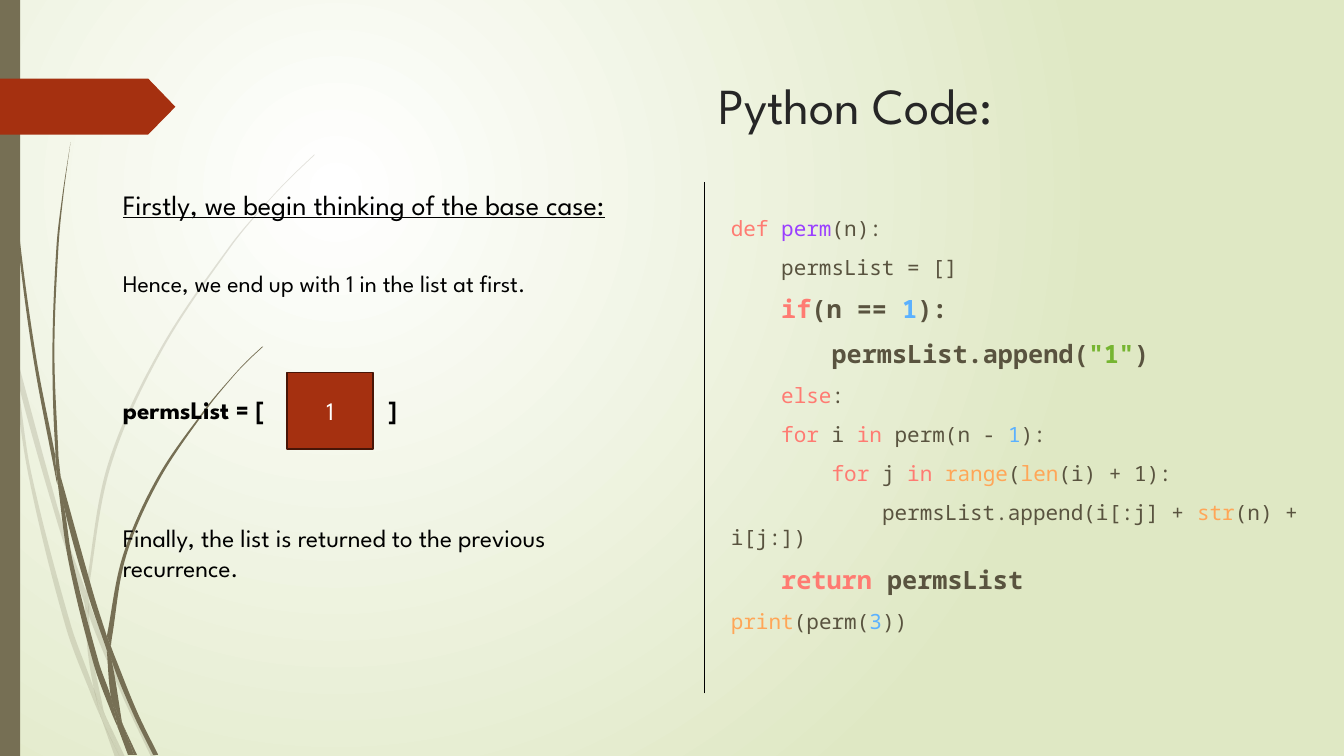
import dataclasses
import math
import typing

import lxml.etree
import pptx
import pptx.dml.color
import pptx.enum.shapes
import pptx.enum.text
import pptx.oxml.ns
import pptx.util

CELL = pptx.util.Inches(0.1)
COLS, ROWS = 133.33, 75
SHAPES = pptx.enum.shapes.MSO_SHAPE
ALIGN = pptx.enum.text.PP_ALIGN
ANCHOR = pptx.enum.text.MSO_ANCHOR
FIT = pptx.enum.text.MSO_AUTO_SIZE
SANS, MONO = "League Spartan", "Noto Sans Mono"
OLIVE, RUST, BLACK, WHITE = "766F54", "A53010", "000000", "FFFFFF"
CODE = {"plain": "59533F", "key": "FF7B72", "def": "9A3FFF",
        "num": "5BB1FF", "str": "76B531", "call": "FFA657"}

Point = tuple[float, float]
Token = tuple[str, str]


@dataclasses.dataclass
class Box:
    col: float
    row: float
    cols: float
    rows: float

    def emu(self) -> list[int]:
        return [cells(v) for v in (self.col, self.row, self.cols, self.rows)]


@dataclasses.dataclass
class Line:
    tokens: list[Token]
    font: dict[str, typing.Any]
    para: dict[str, typing.Any] = dataclasses.field(default_factory=dict)


@dataclasses.dataclass
class Blade:
    down: list[Point]
    up: list[Point]


@dataclasses.dataclass
class Note:
    box: Box
    texts: list[str]
    size: float
    style: dict[str, typing.Any] = dataclasses.field(default_factory=dict)


def cells(n: float) -> int:
    return round(n * CELL)


def rgb(color: str) -> pptx.dml.color.RGBColor:
    return pptx.dml.color.RGBColor.from_string(color)


def apply(obj: typing.Any, values: dict[str, typing.Any]) -> None:
    for name, value in values.items():
        setattr(obj, name, value)


def font(size: float, name: str = SANS, **more: typing.Any) -> dict[str, typing.Any]:
    return {"size": pptx.util.Pt(size), "name": name, **more}


def child(parent: typing.Any, tag: str, **attrs: str) -> typing.Any:
    return lxml.etree.SubElement(parent, pptx.oxml.ns.qn(tag), **attrs)


def write(tf: typing.Any, lines: list[Line]) -> None:
    for i, line in enumerate(lines):
        p = tf.add_paragraph() if i else tf.paragraphs[0]
        apply(p, line.para)
        for color, text in line.tokens:
            r = p.add_run()
            r.text = text
            apply(r.font, line.font)
            r.font.color.rgb = rgb(color)


def finish(sp: typing.Any, color: str, edge: str = "", opacity: int = 100) -> None:
    sp.shadow.inherit = False
    sp.fill.solid()
    sp.fill.fore_color.rgb = rgb(color)
    if opacity < 100:
        clr = sp.element.xpath("./p:spPr/a:solidFill/a:srgbClr")[0]
        child(clr, "a:alpha", val=str(opacity * 1000))
    if edge:
        sp.line.color.rgb = rgb(edge)
        sp.line.width = pptx.util.Pt(1.25)
    else:
        sp.line.fill.background()


def outline(shapes: typing.Any, points: list[Point]) -> typing.Any:
    corners = [(cells(x), cells(y)) for x, y in points]
    fb = shapes.build_freeform(*corners[0])
    fb.add_line_segments(corners[1:], close=True)
    return fb.convert_to_shape()


def handle(a: Point, b: Point, c: Point) -> Point:
    reach = math.dist(b, c) / (math.dist(a, b) + math.dist(b, c)) / 3
    return tuple(q + (s - p) * reach for p, q, s in zip(a, b, c))


def bend(edge: list[Point]) -> list[tuple[Point, ...]]:
    padded = [edge[0], *edge, edge[-1]]
    return [(handle(a, b, c), handle(d, c, b), c)
            for a, b, c, d in zip(padded, padded[1:], padded[2:], padded[3:])]


def draw_blade(shapes: typing.Any, blade: Blade, opacity: int) -> None:
    sp = outline(shapes, blade.down + blade.up)
    curves = [*bend(blade.down), None, *bend(blade.up)]
    for segment, curve in zip(sp.element.xpath(".//a:lnTo"), curves):
        if curve:
            cubic = lxml.etree.Element(pptx.oxml.ns.qn("a:cubicBezTo"))
            for x, y in curve:
                child(cubic, "a:pt", x=str(cells(x) - sp.left), y=str(cells(y) - sp.top))
            segment.getparent().replace(segment, cubic)
    finish(sp, OLIVE, opacity=opacity)


def draw_note(shapes: typing.Any, note: Note) -> None:
    tf = shapes.add_textbox(*note.box.emu()).text_frame
    apply(tf, {"word_wrap": False, "auto_size": FIT.SHAPE_TO_FIT_TEXT})
    write(tf, [Line([(BLACK, t)], font(note.size, **note.style)) for t in note.texts])


def code(indent: int, *tokens: Token, strong: bool = False) -> Line:
    shown = [("plain", "\t" * indent)] * bool(indent) + list(tokens)
    return Line([(CODE[kind], text) for kind, text in shown],
                font(18 if strong else 15, MONO, bold=strong),
                {"space_before": pptx.util.Pt(10), "alignment": ALIGN.LEFT})


PALE = [
    Blade([(0, 29.9), (1, 34.4), (1.1, 35)], [(.9, 32.2), (0, 28.2)]),
    Blade([(1.4, 34.5), (1.7, 37.6), (5.8, 52.2), (8.4, 59.9)], [(8.5, 58.6), (6.2, 52), (1.4, 34.5)]),
    Blade([(8.8, 59.6), (8.8, 61), (12.3, 69.4), (15, 75.1)], [(15.5, 75.1), (12.7, 69.2), (9.2, 60.7)]),
    Blade([(10.5, 71.1), (11.9, 75.1)], [(12.4, 75.1), (10.5, 71.1)]),
    Blade([(1.1, 35), (2.8, 47), (6.5, 62.1), (9.2, 69.3), (10.1, 71.4)],
          [(9.9, 70.7), (9.3, 68.3), (7, 61.9), (3.1, 46.9), (1.7, 37.6), (1.1, 35)]),
    Blade([(8.4, 59.9), (8.7, 64.6), (9.3, 68.3), (9.6, 69.2), (10.5, 71.1)],
          [(10.3, 70.6), (9.1, 64.6), (8.8, 61), (8.4, 59.9)]),
    Blade([(31.2, 15.3), (28.9, 17.5), (26.8, 19.7), (22.8, 24.4), (15.8, 34.8), (10.7, 46.1), (8.5, 58.4), (8.5, 58.6)],
          [(8.8, 59.6), (8.8, 58.4), (11, 46.2), (16, 34.9), (22.9, 24.5), (26.8, 19.8), (29, 17.5), (31.2, 15.4)]),
    Blade([(10.1, 71.4), (11.4, 75.1)], [(11.9, 75.1), (10.1, 71.4)]),
    Blade([(8.5, 58.6), (8.4, 59.9)], [(8.8, 61), (8.8, 59.6)]),
    Blade([(9.3, 68.3), (9.9, 70.7), (10.1, 71.4), (11.9, 75.1)], [(10.5, 71.1), (9.6, 69.2)]),
]
DARK = [
    Blade([(.3, 0), (.4, 4.8), (.7, 11), (1.7, 23.3), (3.3, 35.5), (5.6, 47.7), (5.7, 48.1)],
          [(5.5, 45.7), (5.5, 45.3), (3.6, 35.5), (1.9, 23.2), (.8, 10.9), (.5, 4.8), (.4, 0)]),
    Blade([(6, 47.2), (6.4, 50.5), (8.8, 59.2), (10.6, 64.5)], [(10.6, 63.1), (9.3, 59), (6, 47.2)]),
    Blade([(11, 64.1), (11.1, 65.6), (13.2, 70.8), (15.2, 74.9)], [(15.7, 74.9), (13.6, 70.6), (11.3, 64.9)]),
    Blade([(5.7, 47.7), (6.8, 55.7), (9.3, 65.9), (11.1, 70.8), (11.7, 72.2)],
          [(11.6, 71.7), (11, 69.1), (9.8, 65.7), (7.2, 55.6), (6.4, 50.5), (5.7, 47.7)]),
    Blade([(7, 14.1), (6.2, 19.3), (5.6, 24.5), (5.2, 34.9), (5.5, 44.9), (6, 47.2)],
          [(5.8, 45.3), (5.4, 34.9), (5.8, 24.5), (6.3, 19.3), (7, 14.1)]),
    Blade([(12.2, 71.9), (13.3, 74.9)], [(13.6, 74.9), (12.2, 71.9)]),
    Blade([(5.5, 44.9), (5.5, 45.3), (5.7, 47.7), (6.4, 50.5)], [(6, 47.2), (5.5, 44.9)]),
    Blade([(26, 34.4), (24.5, 35.8), (23.1, 37.3), (20.4, 40.5), (15.6, 47.4), (12.2, 55.1), (10.6, 63.1)],
          [(11, 64.1), (11.1, 63.3), (12.5, 55.2), (15.8, 47.6), (20.5, 40.6), (23.1, 37.4), (24.5, 35.9), (26.1, 34.4)]),
    Blade([(11.7, 72.2), (12.7, 74.9)], [(13.1, 74.9), (11.7, 72.2)]),
    Blade([(10.6, 64.5), (11, 69.1), (11.6, 70.6), (12.2, 71.9)], [(12.1, 71.6), (11.1, 65.6), (10.6, 64.5)]),
    Blade([(10.6, 63.1), (10.6, 64.5)], [(11.1, 65.6), (11, 64.1)]),
    Blade([(11, 69.1), (11.6, 71.7), (11.7, 72.2), (13, 74.9)], [(13.3, 74.9), (12.2, 71.9), (11.6, 70.6)]),
]
ARROW = [(0, 7.8), (14.7, 7.8), (17.4, 10.6), (14.7, 13.35), (0, 13.35)]
LEFT = 11.2
NOTES = [
    Note(Box(LEFT, 18.1, 59, 4.4), ["Firstly, we begin thinking of the base case:"], 20, {"underline": True}),
    Note(Box(LEFT, 26.15, 49.5, 3.9), ["Hence, we end up with 1 in the list at first."], 17),
    Note(Box(LEFT, 38.6, 16.9, 4), ["permsList = ["], 18, {"bold": True}),
    Note(Box(37.5, 38.6, 2.9, 4), ["]"], 18, {"bold": True}),
    Note(Box(LEFT, 51.3, 51.3, 7.1), ["Finally, the list is returned to the previous ", "recurrence."], 18),
]
PROGRAM = [
    code(0, ("key", "def "), ("def", "perm"), ("plain", "(n):")),
    code(1, ("plain", "permsList = []")),
    code(1, ("key", "if"), ("plain", "(n == "), ("num", "1"), ("plain", "):"), strong=True),
    code(2, ("plain", "permsList.append("), ("str", '"1"'), ("plain", ")"), strong=True),
    code(1, ("key", "else"), ("plain", ":")),
    code(1, ("key", "for "), ("plain", "i "), ("key", "in "), ("plain", "perm(n - "), ("num", "1"), ("plain", "):")),
    code(2, ("key", "for "), ("plain", "j "), ("key", "in "), ("call", "range"), ("plain", "("),
         ("call", "len"), ("plain", "(i) + 1):")),
    code(3, ("plain", "permsList.append(i[:j] + "), ("call", "str"), ("plain", "(n) + i[j:])")),
    code(1, ("key", "return "), ("plain", "permsList"), strong=True),
    code(0, ("call", "print"), ("plain", "(perm("), ("num", "3"), ("plain", "))")),
]

prs = pptx.Presentation()
apply(prs, {"slide_width": cells(COLS), "slide_height": cells(ROWS)})
sl = prs.slides.add_slide(prs.slide_layouts[1])
shapes = sl.shapes

fill = sl.background.fill
fill.gradient()
for stop, position, color in zip(fill.gradient_stops, (0, 1), (WHITE, "DFE8C4")):
    stop.position = position
    stop.color.rgb = rgb(color)
grad = sl.element.xpath(".//p:bgPr/a:gradFill")[0]
for lin in grad.xpath("./a:lin"):
    grad.remove(lin)
child(child(grad, "a:path", path="circle"), "a:fillToRect", l="50000", t="50000", r="100000", b="100000")

for blades, opacity in ((PALE, 20), (DARK, 100)):
    group = shapes.add_group_shape()
    for blade in blades:
        draw_blade(group.shapes, blade, opacity)
finish(shapes.add_shape(SHAPES.RECTANGLE, *Box(0, 0, 2, ROWS).emu()), OLIVE)
finish(outline(shapes, ARROW), RUST)

title, body = shapes.title, sl.placeholders[1]
for sp, box, lines in (
        (title, Box(70.25, 6.85, 55.6, 14),
         [Line([("262626", "Python Code:")], font(36), {"alignment": ALIGN.LEFT})]),
        (body, Box(71.5, 20.85, 64, 43.7), PROGRAM)):
    apply(sp, dict(zip(("left", "top", "width", "height"), box.emu())))
    tf = sp.text_frame
    apply(tf, {"word_wrap": True, "auto_size": FIT.NONE, "vertical_anchor": ANCHOR.TOP})
    write(tf, lines)
for p in body.text_frame.paragraphs:
    pPr = p._p.get_or_add_pPr()
    for name, value in {"marL": "0", "indent": "0", "defTabSz": str(cells(5))}.items():
        pPr.set(name, value)
    child(pPr, "a:buNone")

cn = shapes.add_connector(pptx.enum.shapes.MSO_CONNECTOR.STRAIGHT, *Box(69.9, 68.8, 69.9, 18.1).emu())
cn.line.color.rgb = rgb(BLACK)
cn.line.width = pptx.util.Pt(0.75)
child(cn.element.spPr, "a:effectLst")

for note in NOTES:
    draw_note(shapes, note)
sp = shapes.add_shape(SHAPES.RECTANGLE, *Box(28.5, 36.95, 8.5, 7.6).emu())
finish(sp, RUST, "481507")
sp.text_frame.vertical_anchor = ANCHOR.MIDDLE
write(sp.text_frame, [Line([(WHITE, "1")], font(18), {"alignment": ALIGN.CENTER})])

prs.save("out.pptx")
